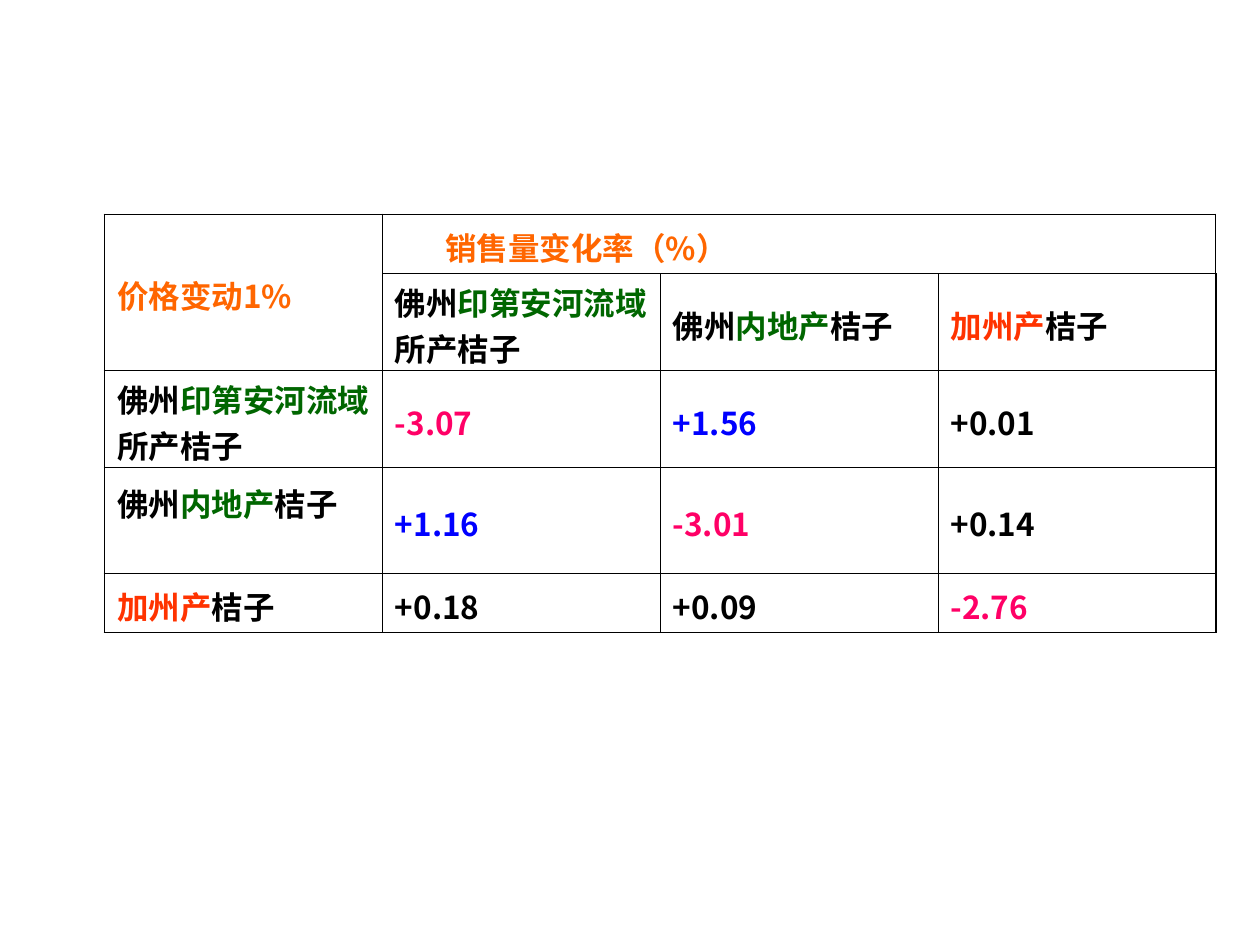
from dataclasses import dataclass

from lxml import etree
from pptx import Presentation
from pptx import util as u
from pptx.dml.color import RGBColor
from pptx.enum import text
from pptx.oxml.ns import qn

BLACK = RGBColor(0x00, 0x00, 0x00)
WHITE = RGBColor(0xFF, 0xFF, 0xFF)
ORANGE = RGBColor(0xFF, 0x66, 0x00)
RED = RGBColor(0xFF, 0x33, 0x00)
GREEN = RGBColor(0x00, 0x66, 0x00)
PINK = RGBColor(0xFF, 0x00, 0x66)
BLUE = RGBColor(0x00, 0x00, 0xFF)

FONT = "Noto Sans CJK SC"
RUN_FORMAT = {"name": FONT, "size": u.Pt(18), "bold": True}
SLIDE_W, SLIDE_H = u.Inches(10), u.Inches(7.5)
LEFT, TOP, WIDTH = 0.083, 0.227, 0.882
ROW_HEIGHTS = [0.47, 0.77, 0.77, 0.84, 0.47]
COLUMNS = 4
THIN, THICK = u.Pt(0.45), u.Pt(1.08)
MIDDLE, UPPER = text.MSO_ANCHOR.MIDDLE, text.MSO_ANCHOR.TOP


@dataclass(frozen=True)
class Phrase:
    words: str
    color: RGBColor = BLACK


@dataclass(frozen=True)
class Entry:
    row: int
    col: int
    phrases: tuple
    row_span: int = 1
    col_span: int = 1
    left: float = 0.1
    top: float = 0.04
    anchor: text.MSO_ANCHOR = MIDDLE


RIVER = (Phrase("佛州"), Phrase("印第安河流域", GREEN), Phrase("所产桔子"))
INLAND = (Phrase("佛州"), Phrase("内地产", GREEN), Phrase("桔子"))
CALIFORNIA = (Phrase("加州产", RED), Phrase("桔子"))
ORANGES = (RIVER, INLAND, CALIFORNIA)

RATES = [
    [("-3.07", PINK), ("+1.56", BLUE), ("+0.01", BLACK)],
    [("+1.16", BLUE), ("-3.01", PINK), ("+0.14", BLACK)],
    [("+0.18", BLACK), ("+0.09", BLACK), ("-2.76", PINK)],
]

ENTRIES = [
    Entry(0, 0, (Phrase("价格变动1%", ORANGE),), row_span=2),
    Entry(0, 1, (Phrase("销售量变化率（%）", ORANGE),), col_span=3, left=0.5),
    *(Entry(1, col, phrases) for col, phrases in enumerate(ORANGES, 1)),
    Entry(2, 0, RIVER),
    Entry(3, 0, INLAND, top=0.1, anchor=UPPER),
    Entry(4, 0, CALIFORNIA),
    *(Entry(row, col, (Phrase(*rate),))
      for row, rates in enumerate(RATES, 2)
      for col, rate in enumerate(rates, 1)),
]


def style_cell(cell, row: int, col: int) -> None:
    cell.fill.solid()
    cell.fill.fore_color.rgb = WHITE
    outer = {
        "a:lnL": col == 0,
        "a:lnR": col == COLUMNS - 1,
        "a:lnT": row == 0,
        "a:lnB": row == len(ROW_HEIGHTS) - 1,
    }
    tc_pr = cell._tc.get_or_add_tcPr()
    for index, (tag, is_outer) in enumerate(outer.items()):
        line = etree.Element(qn(tag), w=str(int(THICK if is_outer else THIN)))
        fill = etree.SubElement(line, qn("a:solidFill"))
        etree.SubElement(fill, qn("a:srgbClr"), val=str(BLACK))
        tc_pr.insert(index, line)


def add_phrase(p, phrase: Phrase) -> None:
    r = p.add_run()
    r.text = phrase.words
    for key, value in RUN_FORMAT.items():
        setattr(r.font, key, value)
    r.font.color.rgb = phrase.color
    latin = r.font._element.find(qn("a:latin"))
    latin.addnext(etree.Element(qn("a:ea"), typeface=FONT))


def write_entry(table, entry: Entry) -> None:
    cell = table.cell(entry.row, entry.col)
    if entry.row_span * entry.col_span > 1:
        cell.merge(table.cell(entry.row + entry.row_span - 1,
                              entry.col + entry.col_span - 1))
    cell_format = {
        "margin_left": u.Inches(entry.left),
        "margin_right": u.Inches(0.1),
        "margin_top": u.Inches(entry.top),
        "margin_bottom": 0,
        "vertical_anchor": entry.anchor,
    }
    for key, value in cell_format.items():
        setattr(cell, key, value)
    for phrase in entry.phrases:
        add_phrase(cell.text_frame.paragraphs[0], phrase)


def main() -> None:
    prs = Presentation()
    prs.slide_width, prs.slide_height = SLIDE_W, SLIDE_H
    s = prs.slides.add_slide(prs.slide_layouts[6])
    sp = s.shapes.add_table(
        len(ROW_HEIGHTS), COLUMNS,
        int(SLIDE_W * LEFT), int(SLIDE_H * TOP),
        int(SLIDE_W * WIDTH), u.Inches(sum(ROW_HEIGHTS)))
    table = sp.table
    table.first_row = table.horz_banding = False
    for row, height in zip(table.rows, ROW_HEIGHTS):
        row.height = u.Inches(height)
    for row in range(len(ROW_HEIGHTS)):
        for col in range(COLUMNS):
            cell = table.cell(row, col)
            cell.text_frame.paragraphs[0].font.size = RUN_FORMAT["size"]
            style_cell(cell, row, col)
    for entry in ENTRIES:
        write_entry(table, entry)
    prs.save("out.pptx")


if __name__ == "__main__":
    main()
